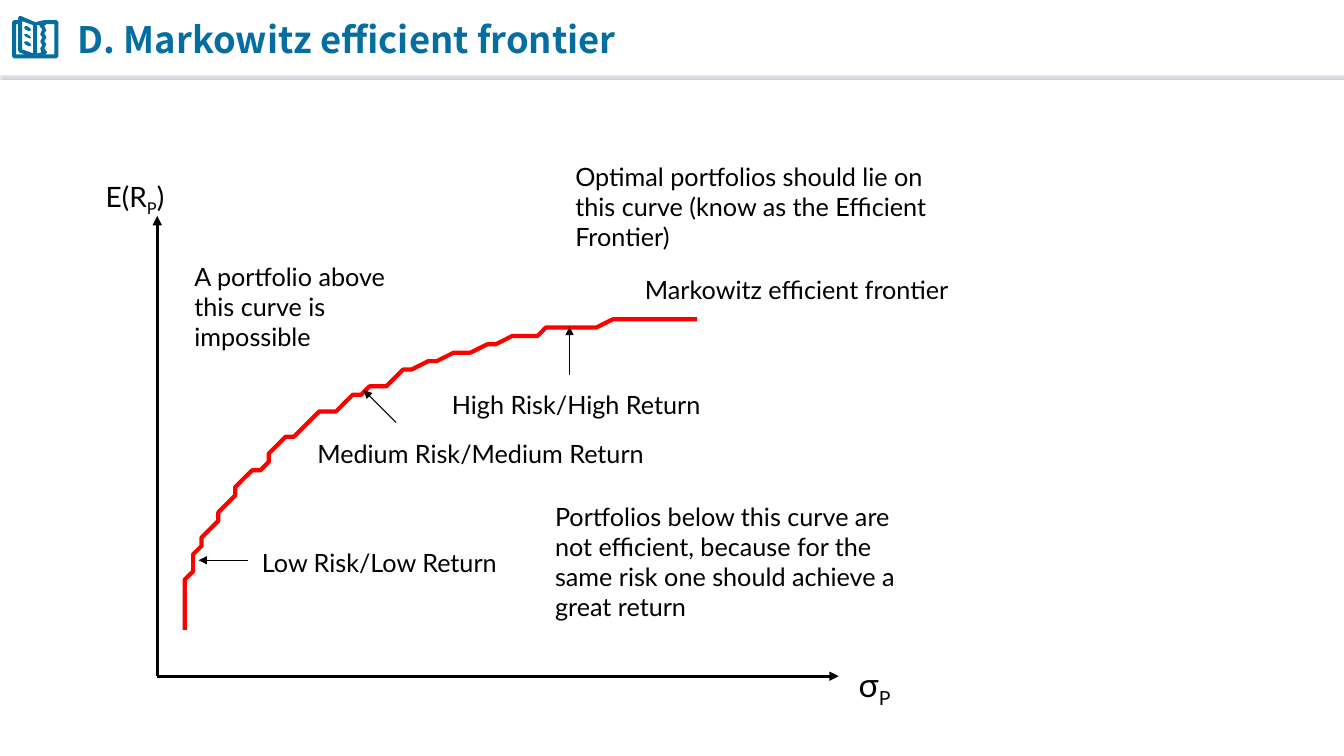
import math

from lxml import etree
from pptx import Presentation
from pptx import util as u
from pptx.dml.color import RGBColor
from pptx.enum import shapes, text
from pptx.oxml import ns

# The slide is a grid of 160 columns by 90 rows of square cells
COLUMNS, ROWS = 160, 90
CELL = u.Inches(7.5) / ROWS
ICON_UNIT = CELL * 0.12

BLUE = RGBColor(0x05, 0x6E, 0xA0)
BLACK = RGBColor(0, 0, 0)
RED = RGBColor(0xFF, 0, 0)
WHITE = RGBColor(0xFF, 0xFF, 0xFF)
RULE_SHADOW = "BCB4C4"
TITLE_FONT, BODY_FONT = "Noto Sans CJK SC", "Lato"

# Book icon: cover, blank leaves and the ragged text column
BOOK = [
    [(21, 16), (35, 22), (44, 20), (56, 20), (58, 22), (58, 56), (56, 58),
     (14, 58), (12, 56), (12, 22), (14, 20), (18, 20), (18, 18), (19, 16)],
    [(16, 24), (16, 54), (25, 54), (19, 52), (18, 50), (18, 24)],
    [(22, 21), (22, 49), (33, 53), (33, 25)],
    [(39, 25), (37, 25), (37, 53), (41, 52), (39.5, 48.5), (42, 45),
     (39.5, 41), (42, 37), (39.5, 33.5), (42, 29), (39.5, 27)],
    [(46, 24), (44, 26), (46.5, 29.5), (44, 33), (46.5, 37), (44, 41),
     (46.5, 44.5), (44, 48), (47, 52), (45, 54), (54, 54), (54, 24)],
]
BOOK_DASH = [(25, 26), (27, 26), (30, 28), (31, 30), (29, 31), (25, 29), (24, 27)]
DASH_STEP = 7.5

# Notes: wording, left, top, width, height
NOTES = [
    ("Optimal portfolios should lie on this curve (know as the Efficient Frontier)",
     67.32, 18.6, 45.6, 12.1),
    ("A portfolio above this curve is impossible", 21.96, 30.5, 29.4, 12.1),
    ("Portfolios below this curve are not efficient, because for the same risk "
     "one should achieve a great return", 64.9, 59.05, 45.4, 15.7),
    ("Markowitz efficient frontier", 75.6, 32.05, 39, 4.8),
]

# Points on the curve: wording, box, alignment, pointer start and tip
RISK_LEVELS = [
    ("Low Risk/Low Return", (30, 63.85, 31.4, 5.5), text.PP_ALIGN.LEFT,
     (29.5, 66.7), (23.65, 66.7)),
    ("Medium Risk/Medium Return", (36.6, 50.9, 43.7, 5.5), text.PP_ALIGN.LEFT,
     (47.15, 50.3), (43.3, 46.45)),
    ("High Risk/High Return", (52.45, 45, 32.3, 5.5), text.PP_ALIGN.CENTER,
     (67.8, 44.65), (67.8, 38.9)),
]

ORIGIN = (18.72, 80.5)
RISK_AXIS_END = (99.85, 80.5)
RETURN_AXIS_END = (18.72, 25.7)
CURVE_CENTRE, CURVE_RADII = (82.55, 74.85), (60.85, 36.9)
CURVE_STEPS = 60


def cells(*counts):
    return [round(count * CELL) for count in counts]


def add_run(paragraph, wording, size, font=BODY_FONT, color=BLACK):
    run = paragraph.add_run()
    run.text = wording
    run.font.size = u.Pt(size)
    run.font.name = font
    run.font.color.rgb = color
    return run


def add_label(slide, runs, box, size=18, spacing=1.0, indent=0,
              align=text.PP_ALIGN.LEFT, wrap=True):
    """Add a text box; runs are pairs of wording and baseline shift."""
    frame = slide.shapes.add_textbox(*cells(*box)).text_frame
    frame.word_wrap = wrap
    paragraph = frame.paragraphs[0]
    paragraph.alignment = align
    paragraph.line_spacing = spacing
    if indent:
        paragraph._p.get_or_add_pPr().set("marL", str(u.Inches(indent)))
    for wording, baseline in runs:
        run = add_run(paragraph, wording, size)
        if baseline:
            run._r.get_or_add_rPr().set("baseline", str(baseline * 1000))


def add_line(slide, start, end, width, color=BLACK, arrow=True):
    """Add a straight line and return its effect list."""
    line = slide.shapes.add_connector(
        shapes.MSO_CONNECTOR.STRAIGHT, *cells(*start, *end))
    line.line.color.rgb = color
    line.line.width = u.Pt(width)
    if arrow:
        etree.SubElement(line.line._get_or_add_ln(), ns.qn("a:tailEnd"),
                         type="triangle")
    return etree.SubElement(line._element.spPr, ns.qn("a:effectLst"))


def add_outline(slide, contours, scale, close):
    first, *others = contours
    builder = slide.shapes.build_freeform(*first[0], scale=scale)
    builder.add_line_segments(first[1:], close=close)
    for contour in others:
        builder.move_to(*contour[0])
        builder.add_line_segments(contour[1:], close=close)
    shape = builder.convert_to_shape()
    shape.shadow.inherit = False
    return shape


def add_header(slide):
    # Rule with a soft shadow below it
    effects = add_line(slide, (0, 8.76), (COLUMNS, 8.76), 0.75, WHITE, arrow=False)
    shadow = etree.SubElement(
        effects, ns.qn("a:outerShdw"), blurRad=str(u.Pt(1)), dist=str(u.Pt(3)),
        dir="5400000", algn="t", rotWithShape="0")
    etree.SubElement(shadow, ns.qn("a:srgbClr"), val=RULE_SHADOW)

    # Book icon
    dashes = [[(x, y + row * DASH_STEP) for x, y in BOOK_DASH] for row in range(3)]
    book = add_outline(slide, BOOK + dashes, ICON_UNIT, close=True)
    book.fill.solid()
    book.fill.fore_color.rgb = BLUE
    book.line.fill.background()

    # Title
    title = slide.shapes.title
    title.left, title.top, title.width, title.height = cells(8.05, 0.85, 128.15, 7.55)
    title.text_frame.vertical_anchor = text.MSO_ANCHOR.MIDDLE
    paragraph = title.text_frame.paragraphs[0]
    paragraph.alignment = text.PP_ALIGN.LEFT
    add_run(paragraph, "D. Markowitz efficient frontier", 26, TITLE_FONT,
            BLUE).font.bold = True


def add_frontier(slide):
    """Draw the upper-left quarter of an ellipse."""
    (cx, cy), (rx, ry) = CURVE_CENTRE, CURVE_RADII
    angles = [math.pi / 2 * step / CURVE_STEPS for step in range(CURVE_STEPS + 1)]
    points = [(cx - rx * math.cos(a), cy - ry * math.sin(a)) for a in angles]
    curve = add_outline(slide, [points], CELL, close=False)
    curve.fill.background()
    curve.line.color.rgb = RED
    curve.line.width = u.Pt(3)


def main():
    deck = Presentation()
    deck.slide_width, deck.slide_height = cells(COLUMNS, ROWS)
    slide = deck.slides.add_slide(deck.slide_layouts[5])
    add_header(slide)

    # Axes and their names
    for axis_end in (RISK_AXIS_END, RETURN_AXIS_END):
        add_line(slide, ORIGIN, axis_end, 2.25)
    add_label(slide, [("σ", 0), ("P", -25)], (95.05, 77.3, 12.4, 6.5),
              size=24, spacing=1.2, indent=0.5, wrap=False)
    add_label(slide, [("E(R", 0), ("P", -25), (")", 0)], (5.4, 19.9, 16.2, 5.6),
              size=20, spacing=1.2, indent=0.5)

    # Curve, notes around it and levels of risk along it
    add_frontier(slide)
    for wording, *box in NOTES:
        add_label(slide, [(wording, 0)], box)
    for wording, box, align, start, tip in RISK_LEVELS:
        add_label(slide, [(wording, 0)], box, spacing=1.2, align=align)
        add_line(slide, start, tip, 0.75)

    deck.save("out.pptx")


if __name__ == "__main__":
    main()
